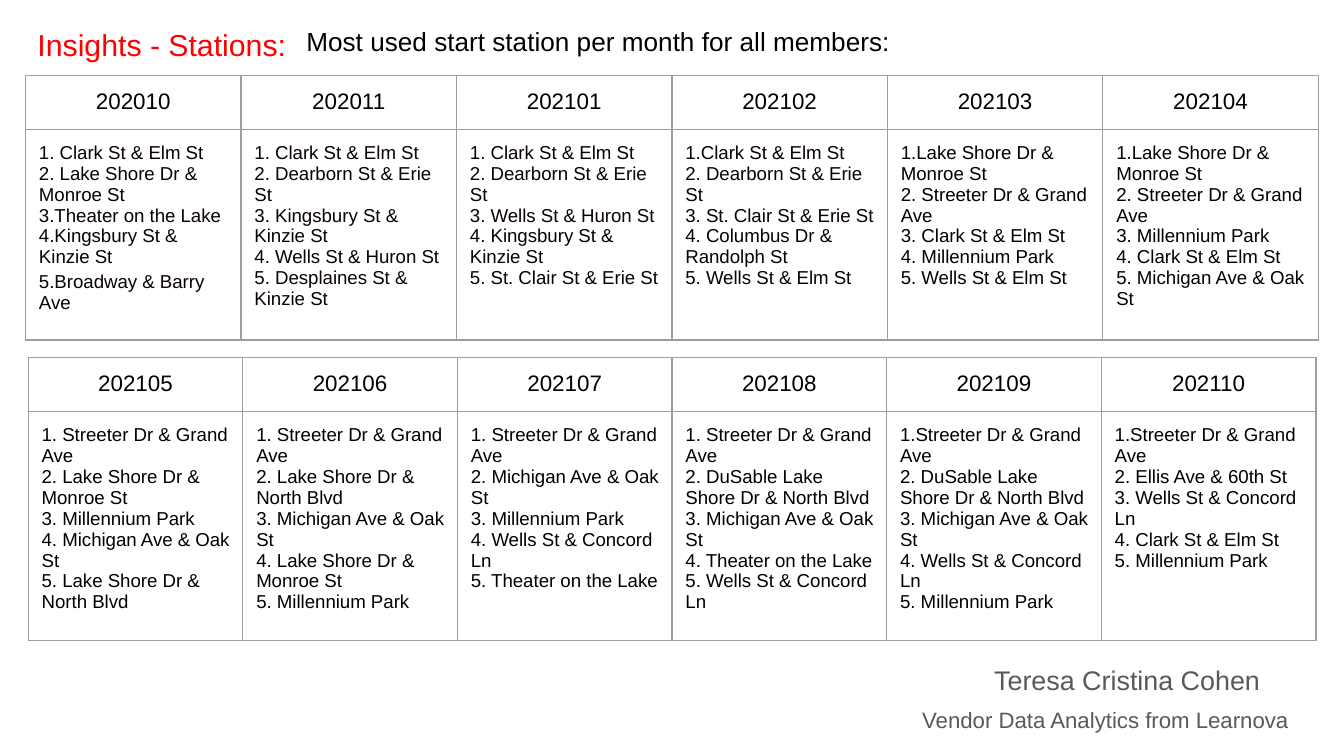
from pptx import Presentation
from pptx.util import Pt
from pptx.dml.color import RGBColor
from pptx.enum.text import MSO_ANCHOR, PP_ALIGN
from lxml.etree import SubElement
from pptx.oxml.ns import qn

BLACK = RGBColor(0, 0, 0)
DARK = RGBColor(0x0A, 0x01, 0x01)
RED = RGBColor(0xFF, 0, 0)
GRAY = RGBColor(0x59, 0x59, 0x59)
BORDER = RGBColor(0x9E, 0x9E, 0x9E)

prs = Presentation()
prs.slide_width, prs.slide_height = Pt(720), Pt(405)
s = prs.slides.add_slide(prs.slide_layouts[6])


def add_run(p, text, size, color):
    r = p.add_run()
    r.text = text
    r.font.name = "Arial"
    r.font.size = Pt(size)
    r.font.color.rgb = color


def set_cell(cell):
    cell.margin_left = cell.margin_right = Pt(7.2)
    cell.margin_top = cell.margin_bottom = Pt(7.2)
    pr = cell._tc.get_or_add_tcPr()
    for side in ("lnL", "lnR", "lnT", "lnB"):
        ln = SubElement(pr, qn("a:" + side), w=str(Pt(0.75)))
        fill = SubElement(ln, qn("a:solidFill"))
        SubElement(fill, qn("a:srgbClr"), val=str(BORDER))
    cell.fill.background()


labels = [
    (483.1, 373.7, 226.8, 28.8, "Vendor Data Analytics from Learnova", 11.9, GRAY,
     PP_ALIGN.CENTER, MSO_ANCHOR.TOP, 0.9, 16),
    (521.3, 352.1, 169.2, 28.8, "Teresa Cristina Cohen", 14.4, GRAY,
     PP_ALIGN.CENTER, MSO_ANCHOR.TOP, 0.8, 11.2),
    (13, 5, 285, 36, "Insights - Stations:", 16.2, RED,
     PP_ALIGN.LEFT, MSO_ANCHOR.BOTTOM, 1.0, 7.2),
    (157, 6.5, 598.3, 31.7, "Most used start station per month for all members:", 14, BLACK,
     PP_ALIGN.LEFT, MSO_ANCHOR.TOP, 1.0, 7.2),
]
for x, y, w, h, text, size, color, align, anchor, spacing, right in labels:
    tf = s.shapes.add_textbox(Pt(x), Pt(y), Pt(w), Pt(h)).text_frame
    tf.word_wrap = True
    tf.vertical_anchor = anchor
    tf.margin_left = tf.margin_top = tf.margin_bottom = Pt(7.2)
    tf.margin_right = Pt(right)
    p = tf.paragraphs[0]
    p.alignment = align
    p.line_spacing = spacing
    add_run(p, text, size, color)

first_half = {
    "202010": ["1. Clark St & Elm St", "2. Lake Shore Dr & Monroe St", "3.Theater on the Lake",
               "4.Kingsbury St & Kinzie St", "5.Broadway & Barry| |Ave"],
    "202011": ["1. Clark St & Elm St", "2. Dearborn St & Erie St", "3. Kingsbury St & Kinzie St",
               "4. Wells St & Huron St", "5. Desplaines St & Kinzie St"],
    "202101": ["1. Clark St & Elm St", "2. Dearborn St & Erie St", "3. Wells St & Huron St",
               "4. Kingsbury St & Kinzie St", "5. St. Clair St & Erie St"],
    "202102": ["1.Clark St & Elm St", "2. Dearborn St & Erie St", "3. St. Clair St & Erie St",
               "4. Columbus Dr & Randolph St", "5. Wells St & Elm St"],
    "202103": ["1.Lake Shore Dr & Monroe St", "2. Streeter Dr & Grand Ave", "3. Clark St & Elm St",
               "4. Millennium Park", "5. Wells St & Elm St"],
    "202104": ["1.Lake Shore Dr & Monroe St", "2. Streeter Dr & Grand Ave", "3. Millennium Park",
               "4. Clark St & Elm St", "5. Michigan Ave & Oak St"],
}
second_half = {
    "202105": ["1. Streeter Dr & Grand Ave", "2. Lake Shore Dr & Monroe St", "3. Millennium Park",
               "4. Michigan Ave & Oak St", "5. Lake Shore Dr & North Blvd"],
    "202106": ["1. Streeter Dr & Grand Ave", "2. Lake Shore Dr & North Blvd",
               "3. Michigan Ave & Oak St", "4. Lake Shore Dr & Monroe St", "5. Millennium Park"],
    "202107": ["1. Streeter Dr & Grand Ave", "2. Michigan Ave & Oak St", "3. Millennium Park",
               "4. Wells St & Concord Ln", "5. Theater on the Lake"],
    "202108": ["1. Streeter Dr & Grand Ave", "2. DuSable Lake Shore Dr & North Blvd",
               "3. Michigan Ave & Oak St", "4. Theater on the Lake", "5. Wells St & Concord Ln"],
    "202109": ["1.Streeter Dr & Grand Ave", "2. DuSable Lake Shore Dr & North Blvd",
               "3. Michigan Ave & Oak St", "4. Wells St & Concord Ln", "5. Millennium Park"],
    "202110": ["1.Streeter Dr & Grand Ave", "2. Ellis Ave & 60th St", "3. Wells St & Concord Ln",
               "4. Clark St & Elm St", "5. Millennium Park"],
}
tables = [
    (13.7, 40.4, 115.45, 112.8, first_half, 4),
    (15.1, 191.7, 115, 122.7, second_half, 0),
]
for x, y, col_w, body_h, months, dark_cols in tables:
    n = len(months)
    table = s.shapes.add_table(2, n, Pt(x), Pt(y), Pt(col_w * n), Pt(28.8 + body_h)).table
    table.first_row = table.horz_banding = False
    table.rows[0].height, table.rows[1].height = Pt(28.8), Pt(body_h)
    for i, (month, stations) in enumerate(months.items()):
        table.columns[i].width = Pt(col_w)
        head, body = table.cell(0, i), table.cell(1, i)
        set_cell(head)
        set_cell(body)
        p = head.text_frame.paragraphs[0]
        p.alignment = PP_ALIGN.CENTER
        add_run(p, month, 12, BLACK)
        tf = body.text_frame
        color = DARK if i < dark_cols else BLACK
        for k, station in enumerate(stations):
            p = tf.add_paragraph() if k else tf.paragraphs[0]
            for part in station.split("|"):
                if part == " ":
                    add_run(p, part, 12, BLACK)
                else:
                    add_run(p, part, 10, color)

prs.save("out.pptx")
